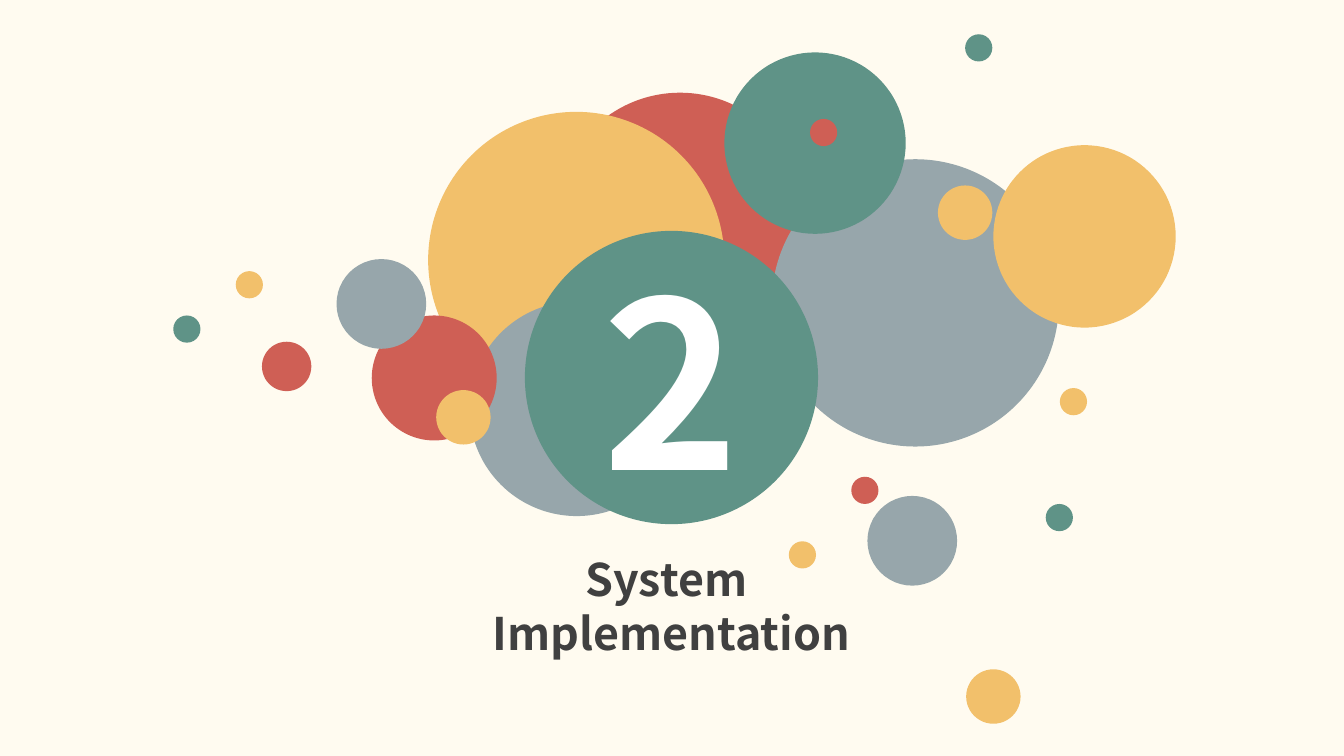
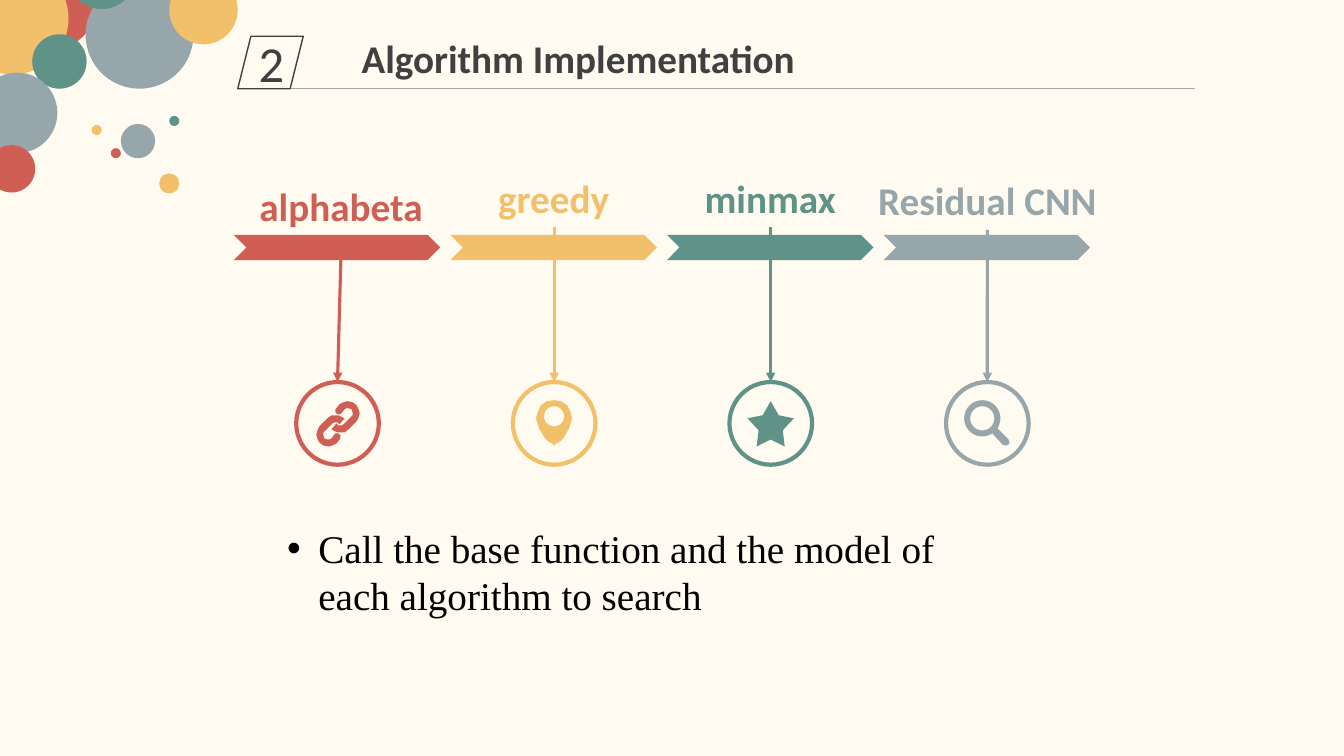
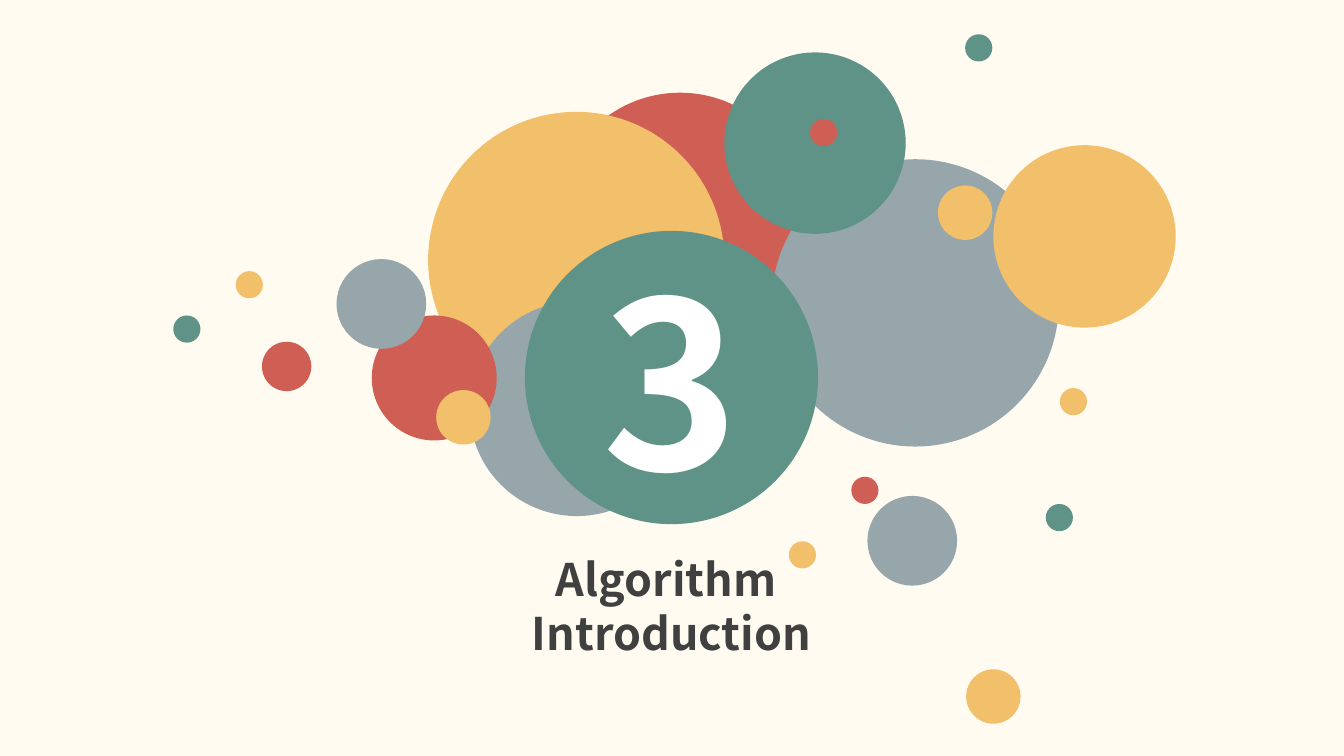
"""Build two section covers and one slide on algorithm implementation."""
from dataclasses import dataclass
from math import cos, radians, sin

from lxml import etree
from pptx import Presentation
from pptx.dml.color import RGBColor
from pptx.enum.shapes import MSO_CONNECTOR, MSO_SHAPE
from pptx.enum.text import MSO_ANCHOR, MSO_AUTO_SIZE, PP_ALIGN
from pptx.oxml.ns import qn
from pptx.presentation import Presentation as Deck
from pptx.shapes.autoshape import Shape
from pptx.shapes.connector import Connector
from pptx.slide import Slide
from pptx.text.text import TextFrame
from pptx.util import Inches, Pt

OVAL = MSO_SHAPE.OVAL
CHEVRON = MSO_SHAPE.CHEVRON
SLANT = MSO_SHAPE.PARALLELOGRAM
STRAIGHT = MSO_CONNECTOR.STRAIGHT
LEFT, CENTER = PP_ALIGN.LEFT, PP_ALIGN.CENTER
TOP, MIDDLE = MSO_ANCHOR.TOP, MSO_ANCHOR.MIDDLE
FIXED = MSO_AUTO_SIZE.NONE

Point = tuple[float, float]
Box = tuple[float, float, float, float]


@dataclass(frozen=True)
class Theme:
    """Colours, fonts and type sizes of the deck."""
    paper: str = "FFFBF0"
    red: str = "CF5F55"
    gold: str = "F2C06B"
    green: str = "5F9387"
    gray: str = "97A6AB"
    rule: str = "A6A6A6"
    ink: str = "404040"
    black: str = "000000"
    white: str = "FFFFFF"
    sans: str = "Calibri"
    serif: str = "Times New Roman"
    cover: str = "Noto Sans CJK SC"
    body: float = 28
    head: float = 32
    badge: float = 36
    digit: float = 166


T = Theme()


@dataclass(frozen=True)
class Dot:
    """A filled circle placed by its left, top and size."""
    left: float
    top: float
    size: float
    color: str


@dataclass(frozen=True)
class Step:
    """One algorithm with its label box, arrow start and icon."""
    name: str
    color: str
    label: Box
    start: Point
    icon: list[list[Point]]


COVER = [
    Dot(5.52, 0.92, 2.46, T.red), Dot(4.25, 1.11, 2.94, T.gold),
    Dot(4.66, 2.99, 2.13, T.gray), Dot(7.66, 1.58, 2.85, T.gray),
    Dot(7.19, 0.52, 1.8, T.green), Dot(3.69, 3.13, 1.24, T.red),
    Dot(8.61, 4.92, 0.89, T.gray), Dot(8.45, 4.73, 0.27, T.red),
    Dot(7.83, 5.37, 0.27, T.gold), Dot(10.38, 5, 0.27, T.green),
    Dot(9.59, 6.64, 0.54, T.gold), Dot(9.86, 1.44, 1.81, T.gold),
    Dot(3.34, 2.57, 0.89, T.gray), Dot(2.6, 3.39, 0.49, T.red),
    Dot(2.34, 2.69, 0.27, T.gold), Dot(1.72, 3.13, 0.27, T.green),
    Dot(4.33, 3.87, 0.54, T.gold), Dot(8.04, 1.18, 0.27, T.red),
    Dot(10.52, 3.85, 0.27, T.gold), Dot(9.58, 0.34, 0.27, T.green),
    Dot(9.31, 1.84, 0.54, T.gold),
]
CORNER = [
    Dot(0.04, -0.44, 0.93, T.red), Dot(-0.43, -0.37, 1.11, T.gold),
    Dot(0.32, 0.34, 0.54, T.green), Dot(-0.23, 0.72, 0.8, T.gray),
    Dot(0.85, -0.19, 1.07, T.gray), Dot(0.67, -0.59, 0.68, T.green),
    Dot(-0.12, 1.44, 0.47, T.red), Dot(1.2, 1.23, 0.34, T.gray),
    Dot(1.1, 1.47, 0.1, T.red), Dot(0.91, 1.24, 0.1, T.gold),
    Dot(1.68, 1.15, 0.1, T.green), Dot(1.58, 1.72, 0.2, T.gold),
    Dot(1.68, -0.24, 0.68, T.gold),
]


def ring(x: float, y: float, size: float, start: float = 0, sweep: float = 360) -> list[Point]:
    """Give points along an arc."""
    turns = [radians(start + sweep * i / 36) for i in range(37)]
    return [(x + size * cos(a), y + size * sin(a)) for a in turns]


def mirror(half: list[Point]) -> list[Point]:
    """Close a left half outline with its right half."""
    return half + [(-x, y) for x, y in reversed(half[1:-1])]


LINK: list[Point] = [
    (-2, -8), (1, -8), (3, -7), (5, -6), (7, -5), (2, 1), (1, 0), (0, -1),
    (-3, -1), (-5, 0), (-13, 8), (-14, 9), (-14, 12), (-13, 15), (-10, 16),
    (-8, 16), (-6, 15), (-3, 11), (-2, 10), (1, 10), (3, 12), (3, 15),
    (2, 16), (-1, 20), (-5, 22), (-9, 23), (-14, 22), (-18, 19), (-20, 15),
    (-21, 11), (-20, 7), (-18, 3), (-10, -5), (-6, -8),
]
CHAIN = [LINK, [(1 - x, 1 - y) for x, y in LINK]]
PIN = [
    mirror([(0, -23), (-7, -22), (-13, -18), (-16, -12), (-18, -5), (-17, -2),
            (-15, 5), (-12, 10), (-9, 15), (-6, 18), (-2, 20), (0, 22)]),
    ring(0, -7, 10),
]
STAR = [mirror([(0, -22), (-8, -8), (-23, -5), (-12, 7), (-14, 23), (0, 16)])]
LENS = [
    ring(-5, -5, 18, 60, 330)
    + [(10, 5), (21, 16), (22, 19), (21, 21), (18, 22), (15, 21), (5, 10)],
    ring(-5, -5, 12),
]
STEPS = [
    Step("alphabeta", T.red, (2.3, 1.76, 2.17, 0.57), (3.39, 2.34), CHAIN),
    Step("greedy", T.gold, (4.74, 1.68, 1.51, 0.57), (5.5, 2.25), PIN),
    Step("minmax", T.green, (6.45, 1.68, 2.39, 0.57), (7.65, 2.25), STAR),
    Step("Residual CNN", T.gray, (8.33, 1.7, 2.94, 0.57), (9.8, 2.28), LENS),
]
PITCH = 2.15


def rgb(color: str) -> RGBColor:
    """Turn a hex string into a colour."""
    return RGBColor.from_string(color)


def put(frame: TextFrame, text: str, *, size: float, color: str = T.ink,
        font: str = T.sans, bold: bool = False, align: PP_ALIGN = CENTER,
        anchor: MSO_ANCHOR = TOP, pitch: float | None = None) -> None:
    """Write each line of the text as a formatted paragraph."""
    frame.word_wrap = True
    frame.auto_size = FIXED
    frame.vertical_anchor = anchor
    for i, line in enumerate(text.split("\n")):
        para = frame.add_paragraph() if i else frame.paragraphs[0]
        para.alignment = align
        para.space_before = Pt(0)
        if pitch:
            para.line_spacing = Pt(pitch)
        run = para.add_run()
        run.text = line
        run.font.name = font
        run.font.size = Pt(size)
        run.font.bold = bold
        run.font.color.rgb = rgb(color)


def place(shape: Shape, box: Box) -> None:
    """Move and size a placeholder."""
    shape.left, shape.top, shape.width, shape.height = map(Inches, box)


def style(shape: Shape, fill: str | None, line: str | None = None, width: float = 1) -> None:
    """Set fill and line and drop the shadow."""
    shape.shadow.inherit = False
    if fill:
        shape.fill.solid()
        shape.fill.fore_color.rgb = rgb(fill)
    else:
        shape.fill.background()
    if line:
        shape.line.color.rgb = rgb(line)
        shape.line.width = Pt(width)
    else:
        shape.line.fill.background()


def draw(slide: Slide, kind: MSO_SHAPE, box: Box, fill: str | None = None,
         line: str | None = None, width: float = 1) -> Shape:
    """Add a styled preset shape."""
    shape = slide.shapes.add_shape(kind, *map(Inches, box))
    style(shape, fill, line, width)
    return shape


def scatter(slide: Slide, dots: list[Dot]) -> None:
    """Draw a cluster of circles."""
    for dot in dots:
        draw(slide, OVAL, (dot.left, dot.top, dot.size, dot.size), dot.color)


def join(slide: Slide, start: Point, end: Point, color: str, width: float,
         arrow: bool = False) -> Connector:
    """Draw a straight line, with an arrowhead on request."""
    line = slide.shapes.add_connector(STRAIGHT, *map(Inches, start + end))
    line.line.color.rgb = rgb(color)
    line.line.width = Pt(width)
    if arrow:
        etree.SubElement(line.line._get_or_add_ln(), qn("a:tailEnd"), type="triangle")
    etree.SubElement(line._element.spPr, qn("a:effectLst"))
    return line


def sketch(slide: Slide, paths: list[list[Point]], mid: Point, color: str) -> None:
    """Draw outlines given in hundredths of an inch around a centre."""
    fine = [[(round(x * 10), round(y * 10)) for x, y in path] for path in paths]
    pen = slide.shapes.build_freeform(*fine[0][0], scale=Inches(1) / 1000)
    for i, path in enumerate(fine):
        if i:
            pen.move_to(*path[0])
        pen.add_line_segments(path[1:], close=True)
    style(pen.convert_to_shape(*map(Inches, mid)), color)


def cover(deck: Deck, digit: str, title: str) -> None:
    """Add a section cover."""
    slide = deck.slides.add_slide(deck.slide_layouts[5])
    scatter(slide, COVER)
    disc = draw(slide, OVAL, (5.21, 2.29, 2.91, 2.91), T.green)
    put(disc.text_frame, digit, size=T.digit, color=T.white, font=T.cover,
        bold=True, anchor=MIDDLE)
    head = slide.shapes.title
    place(head, (3.65, 5.42, 6.03, 1.18))
    put(head.text_frame, title, size=T.head, font=T.cover, bold=True, pitch=38.6)


def banner(slide: Slide, digit: str, title: str) -> None:
    """Add the corner circles, section badge and title."""
    scatter(slide, CORNER)
    join(slide, (2.84, 0.88), (11.86, 0.88), T.rule, 0.5)
    badge = draw(slide, SLANT, (2.36, 0.36, 0.65, 0.52), line=T.ink)
    put(badge.text_frame, digit, size=T.badge, anchor=MIDDLE)
    head = slide.shapes.title
    place(head, (3.49, 0.29, 7.63, 0.57))
    put(head.text_frame, title, size=T.body, bold=True, align=LEFT)


def flow(slide: Slide) -> None:
    """Draw the row of algorithms."""
    for i, step in enumerate(STEPS):
        shift = i * PITCH
        mid = 3.35 + shift
        draw(slide, CHEVRON, (2.32 + shift, 2.33, 2.05, 0.25), step.color)
        label = slide.shapes.add_textbox(*map(Inches, step.label))
        put(label.text_frame, step.name, size=T.body, color=step.color, bold=True)
        draw(slide, OVAL, (mid - 0.41, 3.79, 0.82, 0.82), line=step.color, width=3)
        join(slide, step.start, (mid, 3.79), step.color, 2.25, arrow=True)
        sketch(slide, step.icon, (mid, 4.2), step.color)


def detail(deck: Deck) -> None:
    """Add the slide on algorithm implementation."""
    slide = deck.slides.add_slide(deck.slide_layouts[1])
    banner(slide, "2", "Algorithm Implementation")
    flow(slide)
    body = slide.placeholders[1]
    place(body, (2.75, 5.15, 7.04, 1.04))
    put(body.text_frame, "Call the base function and the model of each algorithm to search",
        size=T.body, color=T.black, font=T.serif, align=LEFT, pitch=33.8)
    props = body.text_frame.paragraphs[0]._p.get_or_add_pPr()
    props.set("marL", str(Inches(0.31)))
    props.set("indent", str(Inches(-0.31)))
    etree.SubElement(props, qn("a:buChar"), char="•")


def main() -> None:
    """Build and save the deck."""
    deck = Presentation()
    deck.slide_width, deck.slide_height = Inches(13.34), Inches(7.5)
    paper = deck.slide_master.background.fill
    paper.solid()
    paper.fore_color.rgb = rgb(T.paper)
    cover(deck, "2", "System \nImplementation")
    detail(deck)
    cover(deck, "3", "Algorithm \nIntroduction")
    deck.save("out.pptx")


if __name__ == "__main__":
    main()
